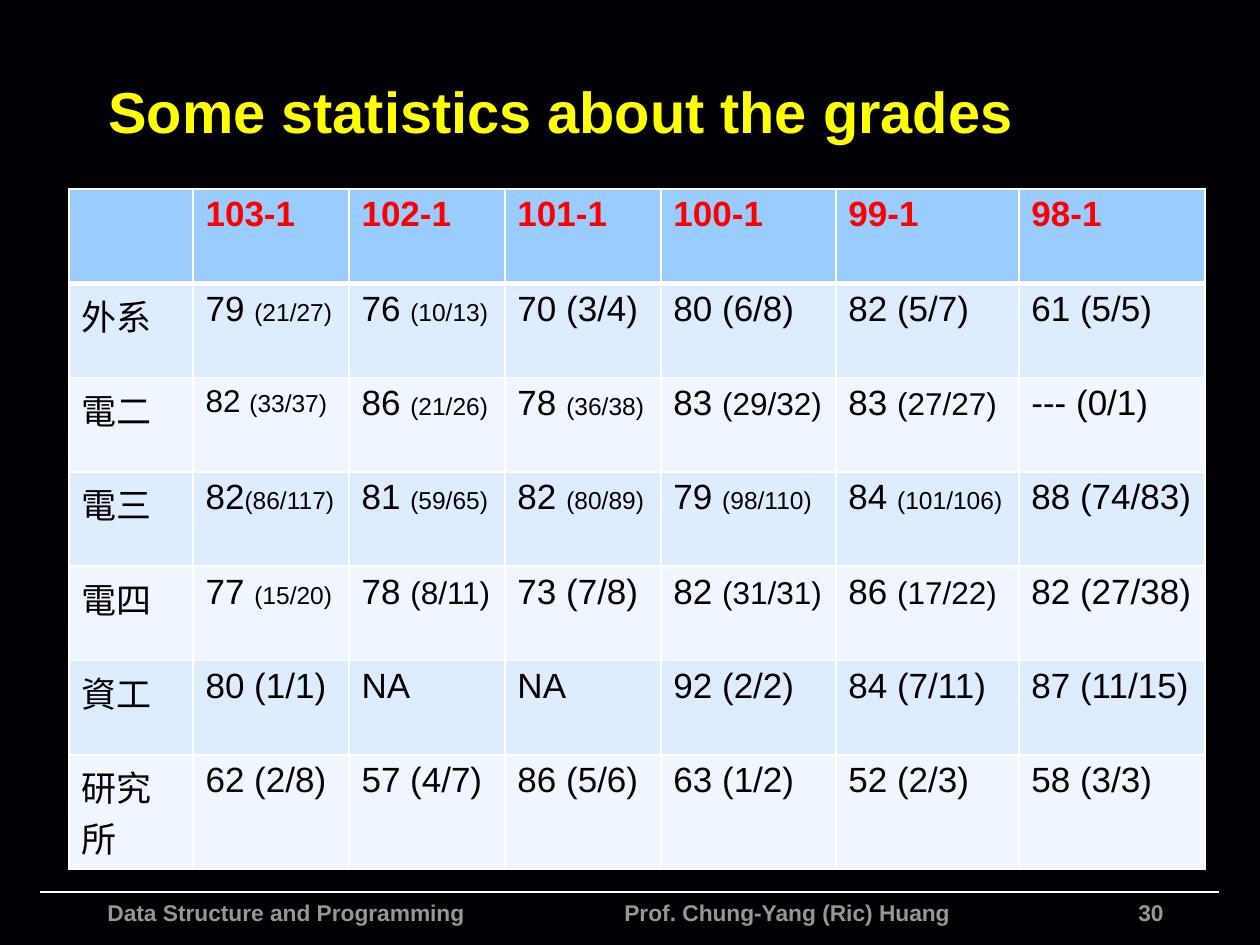
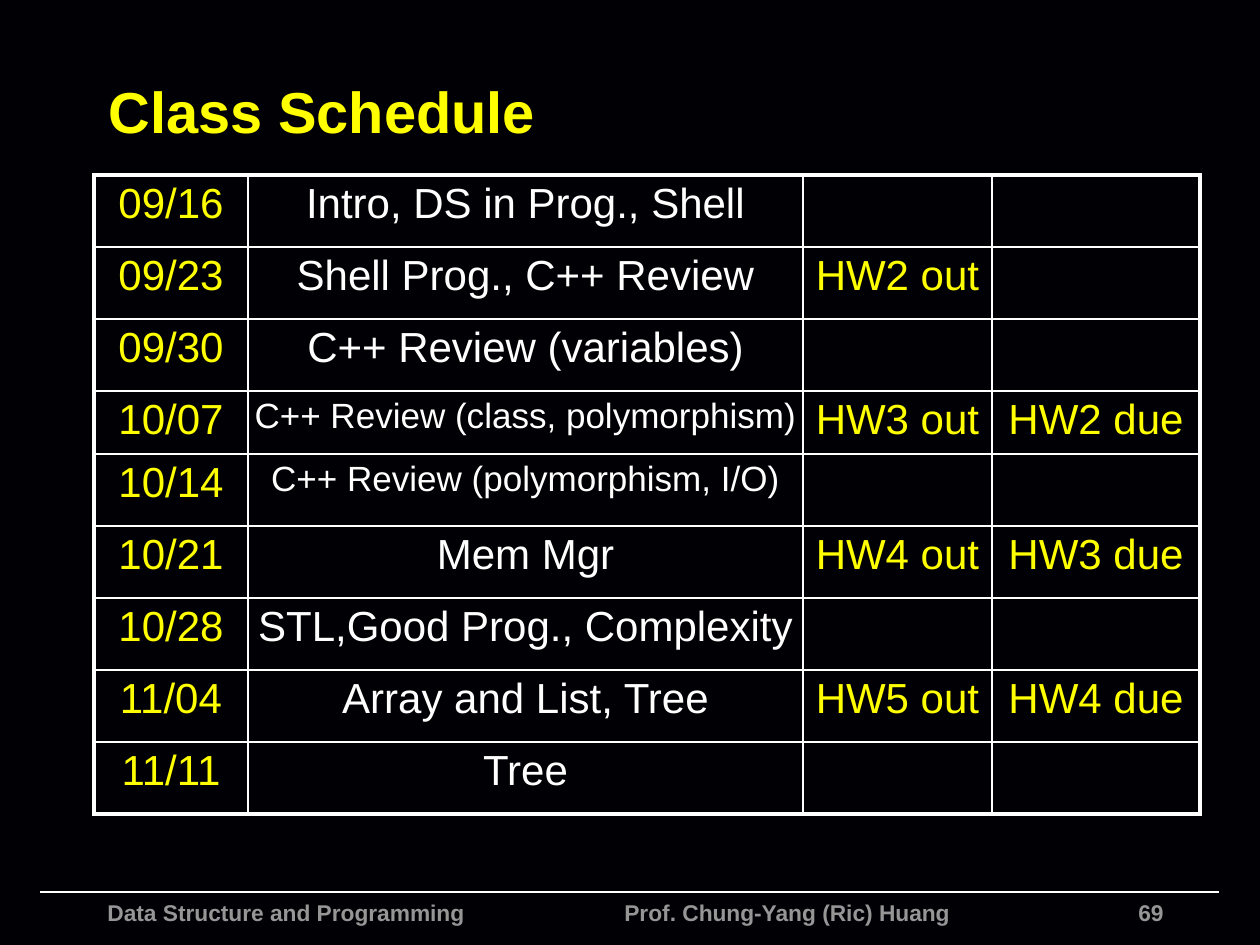
from lxml import etree
from pptx import Presentation
from pptx.dml.color import RGBColor
from pptx.enum.shapes import MSO_CONNECTOR
from pptx.enum.text import MSO_ANCHOR, PP_ALIGN
from pptx.oxml.ns import qn
from pptx.util import Emu, Pt

LEFT, CENTER, RIGHT = PP_ALIGN.LEFT, PP_ALIGN.CENTER, PP_ALIGN.RIGHT
TOP, MIDDLE = MSO_ANCHOR.TOP, MSO_ANCHOR.MIDDLE
STRAIGHT = MSO_CONNECTOR.STRAIGHT

PX_PER_INCH = 126
FONT = "Arial"
BACKGROUND, WHITE, BLACK = "010004", "FFFFFF", "000000"
YELLOW, RED, GRAY = "FFFF00", "FF0000", "969696"
HEADER_BLUE, BAND_BLUES = "99CCFF", ("DEECFF", "EFF6FF")

TITLE_BOX = (96, 47, 1114, 127)
FOOTER_BOX = (40, 892, 1179, 53)
GRADES_BOX = (69, 189, 1136, 680)
SCHEDULE_BOX = (94, 175, 1106, 639)


def split(score, counts, count_size=14, score_size=20):
    """A grade whose counts are set in a smaller size."""
    return [(score, score_size), (counts, count_size)]


GRADE_WIDTHS = (124, 156, 156, 156, 175, 183, 186)
LAST_GRADE_HEIGHT = 114
GRADES = [
    ["", "103-1", "102-1", "101-1", "100-1", "99-1", "98-1"],
    ["外系", split("79 ", "(21/27)"), split("76 ", "(10/13)"), "70 (3/4)",
     "80 (6/8)", "82 (5/7)", "61 (5/5)"],
    ["電二", split("82 ", "(33/37)", score_size=18), split("86 ", "(21/26)"),
     split("78 ", "(36/38)"), split("83 ", "(29/32)", 18),
     split("83 ", "(27/27)", 18), "--- (0/1)"],
    ["電三", split("82", "(86/117)"), split("81 ", "(59/65)"),
     split("82 ", "(80/89)"), split("79 ", "(98/110)"),
     split("84 ", "(101/106)"), "88 (74/83)"],
    ["電四", split("77 ", "(15/20)"), split("78 ", "(8/11)", 18), "73 (7/8)",
     split("82 ", "(31/31)", 18), split("86 ", "(17/22)", 18), "82 (27/38)"],
    ["資工", "80 (1/1)", "NA", "NA", "92 (2/2)", "84 (7/11)", "87 (11/15)"],
    ["研究所", "62 (2/8)", "57 (4/7)", "86 (5/6)", "63 (1/2)", "52 (2/3)",
     "58 (3/3)"],
]

SCHEDULE_WIDTHS = (154, 555, 189, 208)
SCHEDULE_HEIGHTS = (72, 72, 72, 63, 72, 72, 72, 72, 72)
SCHEDULE = [
    ("09/16", "Intro, DS in Prog., Shell", "", ""),
    ("09/23", "Shell Prog., C++ Review", "HW2 out", ""),
    ("09/30", "C++ Review (variables)", "", ""),
    ("10/07", "C++ Review (class, polymorphism)", "HW3 out", "HW2 due"),
    ("10/14", "C++ Review (polymorphism, I/O)", "", ""),
    ("10/21", "Mem Mgr", "HW4 out", "HW3 due"),
    ("10/28", "STL,Good Prog., Complexity", "", ""),
    ("11/04", "Array and List, Tree", "HW5 out", "HW4 due"),
    ("11/11", "Tree", "", ""),
]
LONG_TOPIC = 28


def px(length):
    return Emu(round(length * 914400 / PX_PER_INCH))


def color(value):
    return RGBColor.from_string(value)


def write(frame, text, size=20, fill=BLACK, bold=False, align=LEFT):
    """Append a span to the first paragraph of a text frame."""
    para = frame.paragraphs[0]
    para.alignment = align
    span = para.add_run()
    span.text = text
    span.font.name = FONT
    span.font.size = Pt(size)
    span.font.bold = bold
    span.font.color.rgb = color(fill)


def add_text(page, box, text, anchor=TOP, **text_format):
    frame = page.shapes.add_textbox(*map(px, box)).text_frame
    frame.word_wrap = True
    frame.vertical_anchor = anchor
    write(frame, text, **text_format)


def add_footer(page, box, number):
    left, top, width, height = box
    rule = page.shapes.add_connector(
        STRAIGHT, px(left), px(top), px(left + width), px(top))
    rule.line.color.rgb = color(WHITE)
    rule.line.width = Pt(1)
    etree.SubElement(rule.element.spPr, qn("a:effectLst"))
    parts = [
        (55, 500, "Data Structure and Programming", LEFT),
        (572, 420, "Prof. Chung-Yang (Ric) Huang", LEFT),
        (1010, 126, str(number), RIGHT),
    ]
    for offset, part_width, text, align in parts:
        add_text(page, (left + offset, top + 1, part_width, height - 1), text,
                 size=13, fill=GRAY, bold=True, align=align)


def add_page(deck, title, number):
    page = deck.slides.add_slide(deck.slide_layouts[6])
    page.background.fill.solid()
    page.background.fill.fore_color.rgb = color(BACKGROUND)
    add_footer(page, FOOTER_BOX, number)
    add_text(page, TITLE_BOX, title, anchor=MIDDLE,
             size=33, fill=YELLOW, bold=True)
    return page


def add_grid(page, box, widths, heights):
    table = page.shapes.add_table(
        len(heights), len(widths), *map(px, box)).table
    table.first_row = table.horz_banding = False
    for column, width in zip(table.columns, widths):
        column.width = px(width)
    for row, height in zip(table.rows, heights):
        row.height = px(height)
    return table


def set_borders(cell, left=1, right=1, top=1, bottom=1):
    """Draw white cell borders, with widths in points."""
    properties = cell._tc.get_or_add_tcPr()
    sides = zip(("lnL", "lnR", "lnT", "lnB"), (left, right, top, bottom))
    for index, (tag, width) in enumerate(sides):
        line = etree.Element(qn(f"a:{tag}"), w=str(Pt(width)))
        fill = etree.SubElement(line, qn("a:solidFill"))
        etree.SubElement(fill, qn("a:srgbClr"), val=WHITE)
        properties.insert(index, line)


def add_grades(page, box):
    upper_rows = len(GRADES) - 1
    row_height = (box[3] - LAST_GRADE_HEIGHT) / upper_rows
    table = add_grid(page, box, GRADE_WIDTHS,
                     [row_height] * upper_rows + [LAST_GRADE_HEIGHT])
    for row, grades in enumerate(GRADES):
        header = row == 0
        for column, grade in enumerate(grades):
            cell = table.cell(row, column)
            cell.fill.solid()
            cell.fill.fore_color.rgb = color(
                HEADER_BLUE if header else BAND_BLUES[(row - 1) % 2])
            set_borders(cell, top=3 if row == 1 else 1,
                        bottom=3 if header else 1)
            spans = [(grade, 20)] if isinstance(grade, str) else grade
            for text, size in spans:
                if text:
                    write(cell.text_frame, text, size=size, bold=header,
                          fill=RED if header else BLACK)


def add_schedule(page, box):
    table = add_grid(page, box, SCHEDULE_WIDTHS, SCHEDULE_HEIGHTS)
    last_row, last_column = len(SCHEDULE) - 1, len(SCHEDULE_WIDTHS) - 1
    for row, entries in enumerate(SCHEDULE):
        for column, text in enumerate(entries):
            cell = table.cell(row, column)
            cell.fill.background()
            cell.margin_left = cell.margin_right = px(6)
            cell.margin_top = cell.margin_bottom = px(6)
            set_borders(cell,
                        left=2.25 if column == 0 else 1,
                        right=2.25 if column == last_column else 1,
                        top=2.25 if row == 0 else 1,
                        bottom=2.25 if row == last_row else 1)
            if text:
                write(cell.text_frame, text, align=CENTER,
                      size=20 if len(text) > LONG_TOPIC else 24,
                      fill=WHITE if column == 1 else YELLOW)


def main():
    deck = Presentation()
    deck.slide_width, deck.slide_height = px(1260), px(945)
    add_grades(add_page(deck, "Some statistics about the grades", 30),
               GRADES_BOX)
    add_schedule(add_page(deck, "Class Schedule", 69), SCHEDULE_BOX)
    deck.save("out.pptx")


if __name__ == "__main__":
    main()
